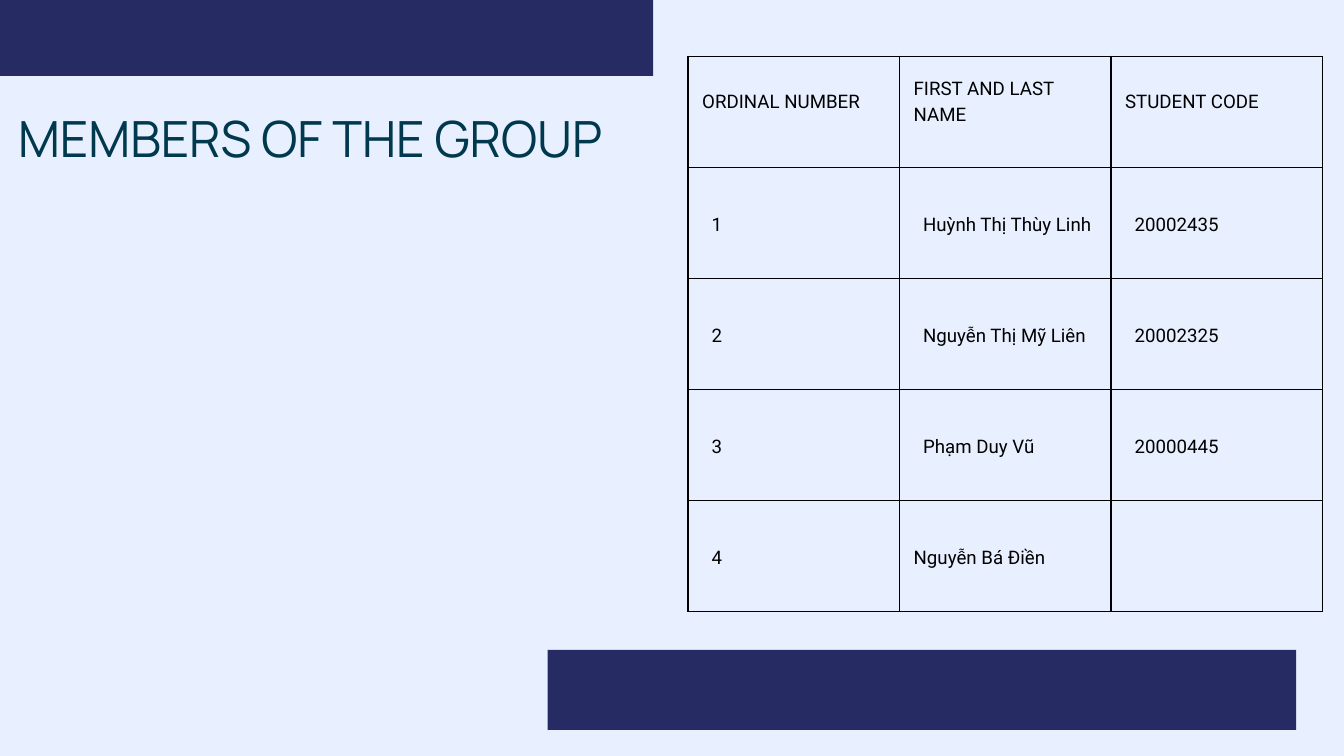
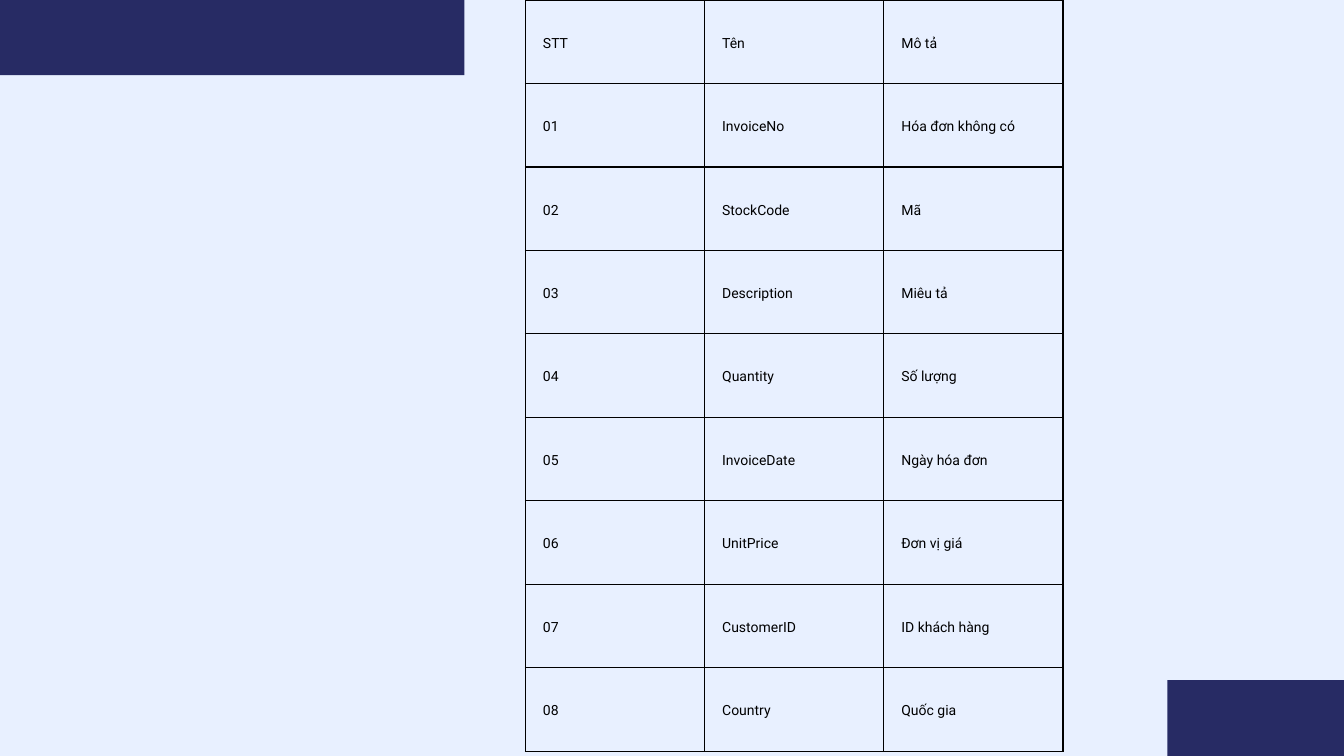
from lxml import etree
from pptx import Presentation
from pptx.dml.color import RGBColor
from pptx.enum.shapes import MSO_SHAPE
from pptx.enum.text import MSO_ANCHOR, MSO_AUTO_SIZE
from pptx.oxml.ns import qn
from pptx.util import Inches, Pt

RECTANGLE = MSO_SHAPE.RECTANGLE
MIDDLE = MSO_ANCHOR.MIDDLE
GROW = MSO_AUTO_SIZE.SHAPE_TO_FIT_TEXT

BACKGROUND = "E8F0FF"
NAVY = "272B64"
TEAL = "00384D"
BLACK = "000000"
TITLE_FONT = "Manrope"
BODY_FONT = "Roboto"

MEMBERS = [
    ("ORDINAL NUMBER", "FIRST AND LAST NAME", "STUDENT CODE"),
    ("1", "Huỳnh Thị Thùy Linh", "20002435"),
    ("2", "Nguyễn Thị Mỹ Liên", "20002325"),
    ("3", "Phạm Duy Vũ", "20000445"),
    ("4", "Nguyễn Bá Điền", ""),
]
FIELDS = [
    ("STT", "Tên", "Mô tả"),
    ("01", "InvoiceNo", "Hóa đơn không có"),
    ("02", "StockCode", "Mã"),
    ("03", "Description", "Miêu tả"),
    ("04", "Quantity", "Số lượng"),
    ("05", "InvoiceDate", "Ngày hóa đơn"),
    ("06", "UnitPrice", "Đơn vị giá"),
    ("07", "CustomerID", "ID khách hàng"),
    ("08", "Country", "Quốc gia"),
]
MEMBERS_STYLE = {"size": 20, "leading": 28, "inset": 0.21, "indent": 0.14, "border": 2.25}
FIELDS_STYLE = {"size": 15, "leading": 21, "inset": 0.16, "indent": 0.1, "border": 1.5}


def color(value):
    return RGBColor.from_string(value)


def inches(box):
    return [Inches(length) for length in box]


def style_text(paragraph, leading, size, font, ink):
    paragraph.line_spacing = Pt(leading)
    for name, value in {"size": Pt(size), "name": font}.items():
        setattr(paragraph.font, name, value)
    paragraph.font.color.rgb = color(ink)


def add_bands(slide, boxes):
    for box in boxes:
        band = slide.shapes.add_shape(RECTANGLE, *inches(box))
        band.shadow.inherit = False
        band.fill.solid()
        band.fill.fore_color.rgb = color(NAVY)
        band.line.fill.background()


def add_title(slide, box, wording):
    frame = slide.shapes.add_textbox(*inches(box)).text_frame
    settings = {"word_wrap": True, "auto_size": GROW, "margin_left": 0,
                "margin_right": 0, "margin_top": 0, "margin_bottom": 0}
    for name, value in settings.items():
        setattr(frame, name, value)
    frame.text = wording
    style_text(frame.paragraphs[0], 74.8, 53.4, TITLE_FONT, TEAL)


def add_borders(cell, width):
    properties = cell._tc.get_or_add_tcPr()
    for side in ("a:lnL", "a:lnR", "a:lnT", "a:lnB"):
        border = etree.SubElement(properties, qn(side), w=str(Pt(width)))
        fill = etree.SubElement(border, qn("a:solidFill"))
        etree.SubElement(fill, qn("a:srgbClr"), val=BLACK)


def add_grid(slide, box, rows, style, flush=(), header_lift=0):
    left, top, width, height = inches(box)
    columns = len(rows[0])
    table = slide.shapes.add_table(len(rows), columns, left, top, width, height).table
    table.first_row = table.horz_banding = False
    for column in table.columns:
        column.width = width // columns
    for row in table.rows:
        row.height = height // len(rows)
    inset = style["inset"]
    for r, entries in enumerate(rows):
        for c, entry in enumerate(entries):
            cell = table.cell(r, c)
            indent = 0 if entry in flush else style["indent"]
            lift = header_lift if r == 0 else 0
            settings = {
                "text": entry,
                "vertical_anchor": MIDDLE,
                "margin_left": Inches(inset + indent),
                "margin_right": Inches(inset),
                "margin_top": Inches(inset),
                "margin_bottom": Inches(inset + lift),
            }
            for name, value in settings.items():
                setattr(cell, name, value)
            style_text(cell.text_frame.paragraphs[0], style["leading"],
                       style["size"], BODY_FONT, BLACK)
            add_borders(cell, style["border"])
            cell.fill.background()


def add_slide(deck):
    slide = deck.slides.add_slide(deck.slide_layouts[6])
    slide.background.fill.solid()
    slide.background.fill.fore_color.rgb = color(BACKGROUND)
    return slide


def build_members(deck):
    slide = add_slide(deck)
    add_bands(slide, [(8.15, 9.67, 11.14, 1.19), (-1.42, -0.52, 11.14, 1.65)])
    add_grid(slide, (10.24, 0.84, 9.44, 8.26), MEMBERS, MEMBERS_STYLE,
             flush=(*MEMBERS[0], "Nguyễn Bá Điền"), header_lift=0.36)
    add_title(slide, (0.27, 1.46, 10.96, 2.03), "MEMBERS OF THE GROUP")


def build_fields(deck):
    slide = add_slide(deck)
    add_bands(slide, [(17.37, 10.12, 4.79, 1.95), (-6.35, -0.83, 13.26, 1.95)])
    add_grid(slide, (7.82, 0, 8, 11.18), FIELDS, FIELDS_STYLE)


def main():
    deck = Presentation()
    deck.slide_width, deck.slide_height = inches((20, 11.25))
    build_members(deck)
    build_fields(deck)
    deck.save("out.pptx")


if __name__ == "__main__":
    main()
